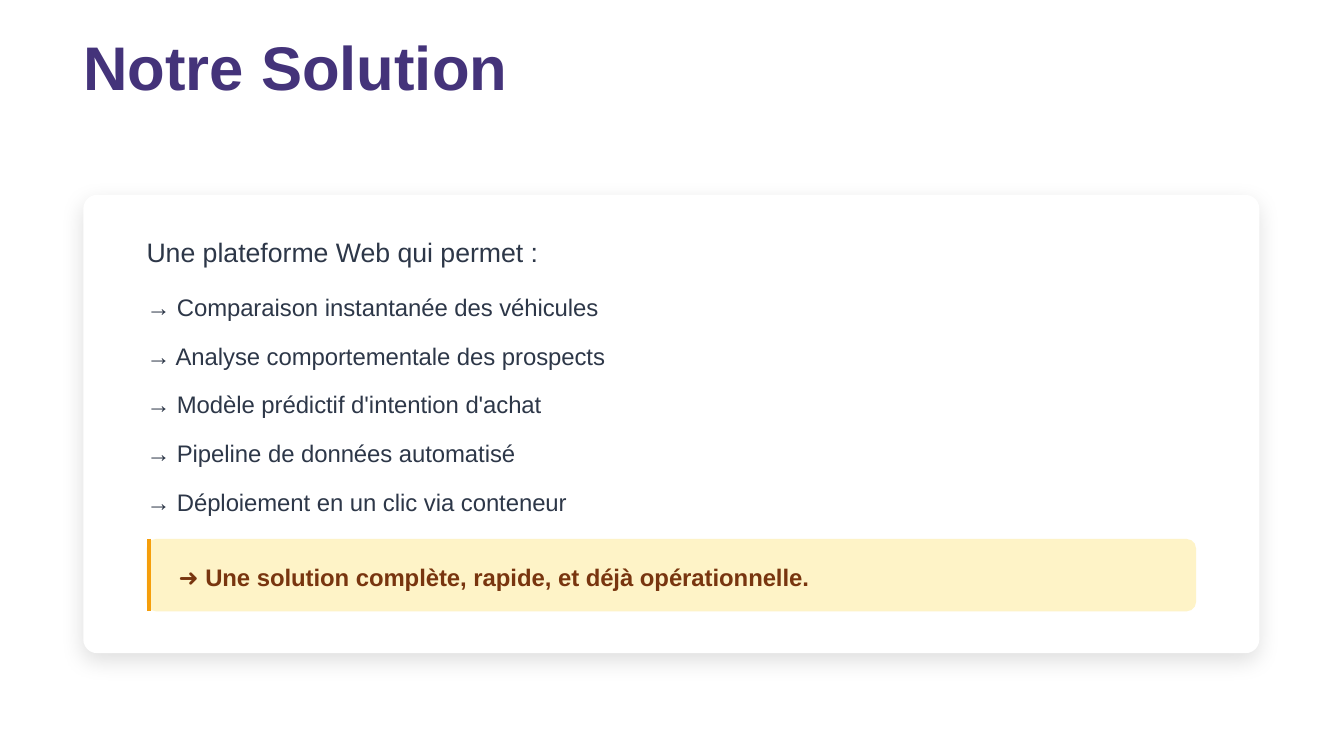
from lxml import etree
from pptx import Presentation
from pptx.dml.color import RGBColor
from pptx.enum.shapes import MSO_CONNECTOR, MSO_SHAPE
from pptx.enum.text import MSO_ANCHOR, MSO_AUTO_SIZE, PP_ALIGN
from pptx.oxml import parse_xml
from pptx.oxml.ns import nsdecls, qn
from pptx.util import Inches, Pt

ROUND_RECT = MSO_SHAPE.ROUNDED_RECTANGLE
STRAIGHT = MSO_CONNECTOR.STRAIGHT
TOP = MSO_ANCHOR.TOP
LEFT = PP_ALIGN.LEFT
NO_AUTOFIT = MSO_AUTO_SIZE.NONE

FEATURES = [
    "Comparaison instantanée des véhicules",
    "Analyse comportementale des prospects",
    "Modèle prédictif d'intention d'achat",
    "Pipeline de données automatisé",
    "Déploiement en un clic via conteneur",
]


def rgb(value):
    """Turn a hex string into a colour."""
    return RGBColor.from_string(value)


class SlideBuilder:
    """Holds the style and the slide being built."""

    FONT = "Arial"
    TITLE, INK, CARD = "44337A", "2D3748", "FFFFFF"
    NOTE, NOTE_FILL, NOTE_BAR = "78350F", "FEF3C7", "F59E0B"

    def __init__(self, prs):
        """Add a title-and-content slide to the presentation."""
        self.s = prs.slides.add_slide(prs.slide_layouts[1])
        self.title = self.s.shapes.title
        self.body = self.s.placeholders[1]

    def frame(self, sp, x, y, w, h):
        """Place a text shape in front, without margins or autofit."""
        sp.left, sp.top, sp.width, sp.height = map(Inches, (x, y, w, h))
        self.s.shapes._spTree.append(sp._element)
        tf = sp.text_frame
        tf.margin_left = tf.margin_right = tf.margin_top = tf.margin_bottom = 0
        tf.word_wrap = True
        tf.auto_size = NO_AUTOFIT
        tf.vertical_anchor = TOP
        return tf

    def paragraph(self, p, text, size, line, color, after=0, bold=False):
        """Write one left-aligned paragraph without a bullet."""
        p.alignment = LEFT
        p.line_spacing = Pt(line)
        p.space_before, p.space_after = Pt(0), Pt(after)
        pPr = p._p.get_or_add_pPr()
        pPr.set("marL", "0")
        pPr.set("indent", "0")
        etree.SubElement(pPr, qn("a:buNone"))
        r = p.add_run()
        r.text = text
        r.font.name, r.font.size, r.font.bold = self.FONT, Pt(size), bold
        r.font.color.rgb = rgb(color)

    def panel(self, x, y, w, h, radius, fill):
        """Add a rounded panel without outline or shadow."""
        sp = self.s.shapes.add_shape(ROUND_RECT, *map(Inches, (x, y, w, h)))
        sp.adjustments[0] = radius
        sp.fill.solid()
        sp.fill.fore_color.rgb = rgb(fill)
        sp.line.fill.background()
        sp.shadow.inherit = False
        return sp

    def shadow(self, sp, blur, dist, alpha):
        """Give a shape a soft black shadow that falls downwards."""
        effects = sp._element.spPr.find(qn("a:effectLst"))
        effects.append(parse_xml(
            f'<a:outerShdw {nsdecls("a")} blurRad="{Pt(blur)}" dist="{Pt(dist)}" '
            f'dir="5400000" algn="ctr" rotWithShape="0"><a:srgbClr val="000000">'
            f'<a:alpha val="{alpha * 1000}"/></a:srgbClr></a:outerShdw>'))

    def bar(self, x, y, h, color, width):
        """Add a vertical accent line."""
        ln = self.s.shapes.add_connector(STRAIGHT, *map(Inches, (x, y, x, y + h)))
        ln.line.color.rgb = rgb(color)
        ln.line.width = Pt(width)
        etree.SubElement(ln._element.spPr, qn("a:effectLst"))

    def heading(self, text):
        """Fill the title placeholder."""
        tf = self.frame(self.title, 0.62, 0.31, 4.47, 0.46)
        self.paragraph(tf.paragraphs[0], text, 33, 33, self.TITLE, bold=True)

    def feature_list(self, intro, items):
        """Fill the body placeholder with an intro and arrow items."""
        tf = self.frame(self.body, 1.09, 1.72, 7.97, 2.2)
        self.paragraph(tf.paragraphs[0], intro, 14.25, 19.9, self.INK, after=10.5)
        for item in items:
            self.paragraph(tf.add_paragraph(), f"→ {item}", 12.75, 17.9, self.INK, after=8.2)

    def callout(self, text):
        """Add the highlighted conclusion with its accent bar."""
        y, h = 4.01, 0.54
        self.panel(1.09, y, 7.81, h, 0.135, self.NOTE_FILL)
        self.bar(1.11, y, h, self.NOTE_BAR, 2.25)
        tf = self.frame(self.s.shapes.add_textbox(0, 0, 0, 0), 1.33, 4.15, 7.51, 0.25)
        self.paragraph(tf.paragraphs[0], text, 12.75, 17.9, self.NOTE, bold=True)


def main():
    """Build the slide and save it."""
    prs = Presentation()
    prs.slide_width = Inches(10)
    prs.slide_height = prs.slide_width * 9 // 16
    b = SlideBuilder(prs)
    b.heading("Notre Solution")
    card = b.panel(0.62, 1.45, 8.75, 3.41, 0.03, b.CARD)
    b.shadow(card, blur=12, dist=4.5, alpha=12)
    b.feature_list("Une plateforme Web qui permet :", FEATURES)
    b.callout("➜ Une solution complète, rapide, et déjà opérationnelle.")
    prs.save("out.pptx")


if __name__ == "__main__":
    main()
